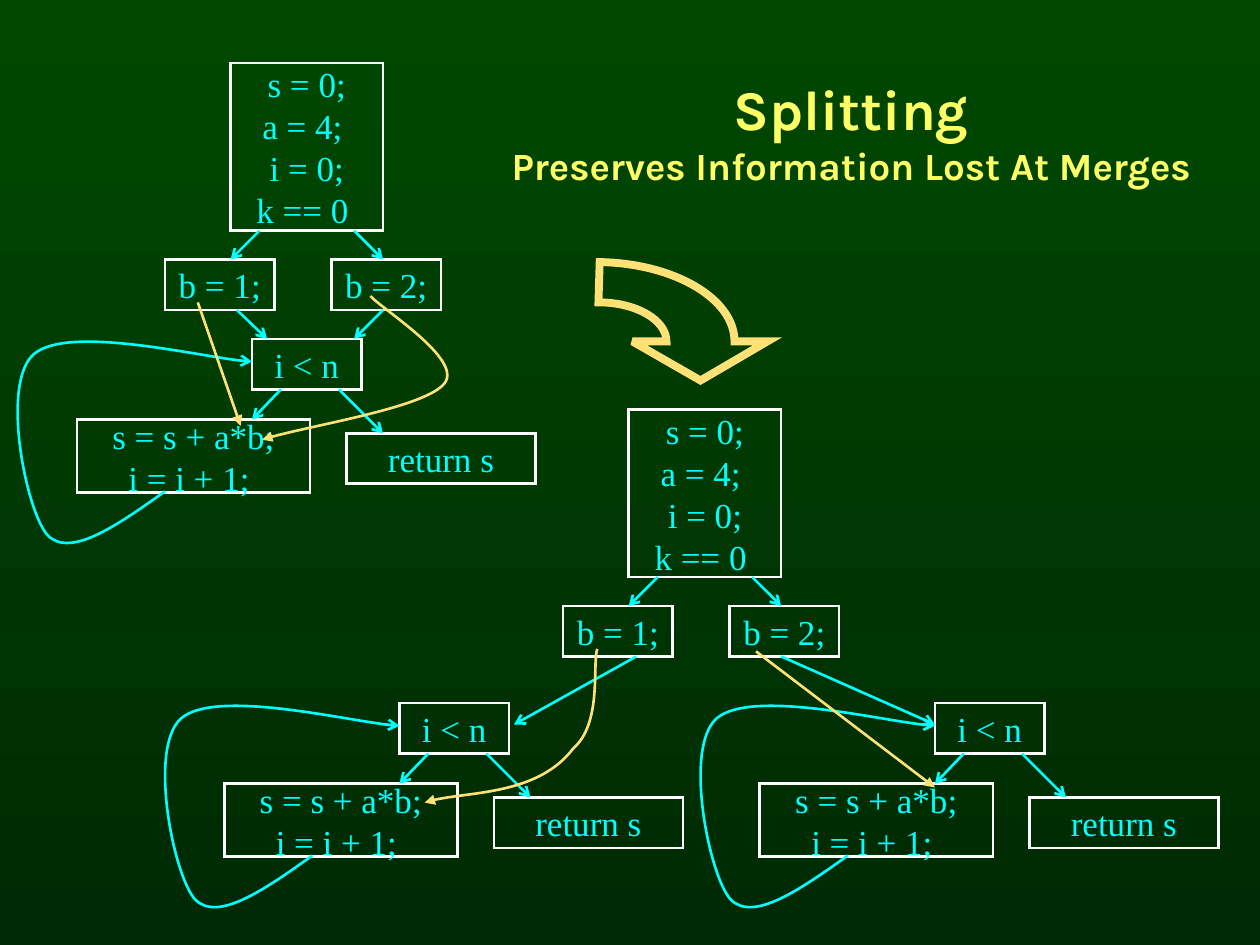
import copy
import dataclasses

import pptx
import pptx.dml.color
import pptx.enum.shapes
import pptx.enum.text
import pptx.oxml
import pptx.oxml.ns
import pptx.util

COLUMNS, ROWS = 10, 7.5
CELL = pptx.util.Inches(1)


@dataclasses.dataclass(frozen=True)
class Theme:
    """Colours, fonts and sizes of the slide."""
    background: tuple = ("004800", "002A04")
    title: str = "FFFF66"
    code: str = "00FFFF"
    box: str = "FFFFFF"
    control: str = "00FFFF"
    data: str = "FFE175"
    title_font: str = "Karla"
    code_font: str = "Times New Roman"
    title_sizes: tuple = (32, 22)
    code_size: int = 20
    thin: float = 1.5
    thick: float = 4.5


THEME = Theme()


def color(value):
    """Return a colour object for a hex value."""
    return pptx.dml.color.RGBColor.from_string(value)


def place(*cells):
    """Turn grid lengths into slide lengths."""
    return [pptx.util.Emu(round(cell * CELL)) for cell in cells]


def shift(origin, points):
    """Move grid points by an origin."""
    return [(origin[0] + x, origin[1] + y) for x, y in points]


def drawing_element(tag, **attributes):
    """Return a new drawing element."""
    element = pptx.oxml.parse_xml(f"<a:{tag} {pptx.oxml.ns.nsdecls('a')}/>")
    for name, value in attributes.items():
        element.set(name, value)
    return element


def style_line(shape, line_color, width=THEME.thin, head=None):
    """Set colour, width, mitred corners and arrowhead of a line."""
    shape.line.color.rgb = color(line_color)
    shape.line.width = pptx.util.Pt(width)
    line = shape.line._get_or_add_ln()
    line.append(drawing_element("miter", lim="800000"))
    if head:
        line.append(drawing_element("tailEnd", type=head))


def format_run(run, font_name, size, text_color, bold=False):
    """Set the font of a run."""
    run.font.name = font_name
    run.font.size = pptx.util.Pt(size)
    run.font.color.rgb = color(text_color)
    run.font.bold = bold


def add_title(slide, lines):
    """Fill the title placeholder with a title and a smaller subtitle."""
    title = slide.shapes.title
    title.left, title.top, title.width, title.height = place(
        3.67, 0.42, 6.17, 1.25)
    frame = title.text_frame
    frame.text = "\v".join(lines)
    frame.auto_size = pptx.enum.text.MSO_AUTO_SIZE.NONE
    frame.vertical_anchor = pptx.enum.text.MSO_ANCHOR.MIDDLE
    paragraph = frame.paragraphs[0]
    paragraph.alignment = pptx.enum.text.PP_ALIGN.CENTER
    for run, size in zip(paragraph.runs, THEME.title_sizes):
        format_run(run, THEME.title_font, size, THEME.title, True)
    line_break = paragraph._p.find(pptx.oxml.ns.qn("a:br"))
    line_break.append(copy.deepcopy(paragraph.runs[0]._r.rPr))


def add_box(slide, origin, offset, size, text):
    """Add an outlined block of code."""
    [position] = shift(origin, [offset])
    box = slide.shapes.add_shape(
        pptx.enum.shapes.MSO_SHAPE.RECTANGLE, *place(*position, *size))
    box.shadow.inherit = False
    box.fill.background()
    style_line(box, THEME.box)
    frame = box.text_frame
    frame.text = text
    frame.word_wrap = False
    frame.vertical_anchor = pptx.enum.text.MSO_ANCHOR.MIDDLE
    for paragraph in frame.paragraphs:
        paragraph.alignment = pptx.enum.text.PP_ALIGN.CENTER
        for run in paragraph.runs:
            format_run(run, THEME.code_font, THEME.code_size, THEME.code)


def add_arrow(slide, start, end, line_color=THEME.control, head="arrow"):
    """Add a straight arrow between two grid points."""
    arrow = slide.shapes.add_connector(
        pptx.enum.shapes.MSO_CONNECTOR.STRAIGHT, *place(*start, *end))
    style_line(arrow, line_color, head=head)
    arrow._element.spPr.append(drawing_element("effectLst"))


def bend_segments(outline, segments):
    """Join each three straight steps of a curved segment into one curve."""
    steps = iter(list(outline._element.iter(pptx.oxml.ns.qn("a:lnTo"))))
    for segment in segments:
        parts = [next(steps) for _ in segment]
        if len(parts) == 3:
            curve = drawing_element("cubicBezTo")
            parts[0].addprevious(curve)
            for part in parts:
                curve.append(part[0])
                part.getparent().remove(part)


def set_frame(outline, frame):
    """Give an outline another frame while its points stay in place."""
    left, top, width, height = place(*frame)
    move = {"x": outline.left - left, "y": outline.top - top}
    for point in outline._element.iter(pptx.oxml.ns.qn("a:pt")):
        for axis, distance in move.items():
            point.set(axis, str(int(point.get(axis)) + distance))
    for track in outline._element.iter(pptx.oxml.ns.qn("a:path")):
        track.set("w", str(width))
        track.set("h", str(height))
    outline.left, outline.top = left, top
    outline.width, outline.height = width, height


def add_outline(slide, start, segments, line_color, head=None, closed=False,
                width=THEME.thin):
    """Add an outline of straight (1 point) and curved (3 point) segments."""
    builder = slide.shapes.build_freeform(*place(*start), scale=1.0)
    builder.add_line_segments(
        [place(*point) for segment in segments for point in segment],
        close=closed)
    outline = builder.convert_to_shape()
    bend_segments(outline, segments)
    outline.shadow.inherit = False
    outline.fill.background()
    style_line(outline, line_color, width, head)
    return outline


def add_branch(slide, origin):
    """Add the initial block with its two assignments to b."""
    add_box(slide, origin, (0, 0), (1.21, 1.33),
            " s = 0; \na = 4; \ni = 0;\nk == 0 ")
    for x, text in ((-0.52, "b = 1;"), (0.8, "b = 2;")):
        add_box(slide, origin, (x, 1.56), (0.87, 0.4), text)
    for start, end in ((0.23, 0), (0.98, 1.21)):
        add_arrow(slide, *shift(origin, [(start, 1.33), (end, 1.56)]))


def add_loop(slide, origin):
    """Add the loop test, body, return and back edge."""
    add_box(slide, origin, (0, 0), (0.87, 0.4), "i < n")
    add_box(slide, origin, (-1.39, 0.64), (1.85, 0.58),
            "s = s + a*b;\ni = i + 1; ")
    add_box(slide, origin, (0.75, 0.75), (1.5, 0.4), "return s")
    for start, end in (((0.23, 0.4), (0, 0.64)), ((0.69, 0.4), (1.04, 0.75))):
        add_arrow(slide, *shift(origin, [start, end]))
    [start] = shift(origin, [(-0.69, 1.21)])
    back_edge = [shift(origin, curve) for curve in (
        [(-1.07, 1.48), (-1.44, 1.74), (-1.62, 1.56)],
        [(-1.79, 1.38), (-2, 0.35), (-1.73, 0.12)],
        [(-1.46, -0.11), (-0.29, 0.17), (0, 0.18)])]
    add_outline(slide, start, back_edge, THEME.control, "arrow")


def add_turn_arrow(slide):
    """Add the large bent arrow from the merged to the split graph."""
    segments = [
        [(5.29, 2.54), (5.05, 2.4), (4.75, 2.4)], [(4.76, 2.08)],
        [(5.35, 2.09), (5.83, 2.37), (5.83, 2.71)],
        [(6.09, 2.71)], [(5.56, 3.02)], [(5.02, 2.71)], [(5.29, 2.71)]]
    arrow = add_outline(slide, (5.29, 2.71), segments, THEME.data,
                        closed=True, width=THEME.thick)
    set_frame(arrow, (3.67, 2.08, 2.17, 1.25))


def main():
    """Build the slide and save it."""
    presentation = pptx.Presentation()
    presentation.slide_width, presentation.slide_height = place(COLUMNS, ROWS)
    slide = presentation.slides.add_slide(presentation.slide_layouts[5])
    fill = slide.background.fill
    fill.gradient()
    fill.gradient_angle = 270
    for stop, value in zip(fill.gradient_stops, THEME.background):
        stop.color.rgb = color(value)
    add_title(slide, ["Splitting", "Preserves Information Lost At Merges"])

    for origin in ((1.83, 0.5), (4.99, 3.25)):
        add_branch(slide, origin)
    for origin in ((2, 2.69), (3.17, 5.58), (7.42, 5.58)):
        add_loop(slide, origin)
    for start, end in (((1.88, 2.46), (2.12, 2.69)), ((3.04, 2.46), (2.81, 2.69)),
                       ((5.05, 5.21), (4.08, 5.75)), ((6.2, 5.21), (7.42, 5.75))):
        add_arrow(slide, start, end)

    for start, end in (((1.57, 2.4), (1.91, 3.38)), ((6, 5.17), (7.42, 6.25))):
        add_arrow(slide, start, end, THEME.data, "triangle")
    for start, curves in (
            ((2.94, 2.35), [[(3.04, 2.46), (3.67, 2.85), (3.53, 3.04)],
                            [(3.39, 3.23), (2.38, 3.39), (2.08, 3.49)]]),
            ((4.74, 5.15), [[(4.7, 5.28), (4.78, 5.74), (4.55, 5.94)],
                            [(4.27, 6.31), (3.62, 6.28), (3.37, 6.37)]])):
        add_outline(slide, start, curves, THEME.data, "triangle")
    add_turn_arrow(slide)
    presentation.save("out.pptx")


main()
